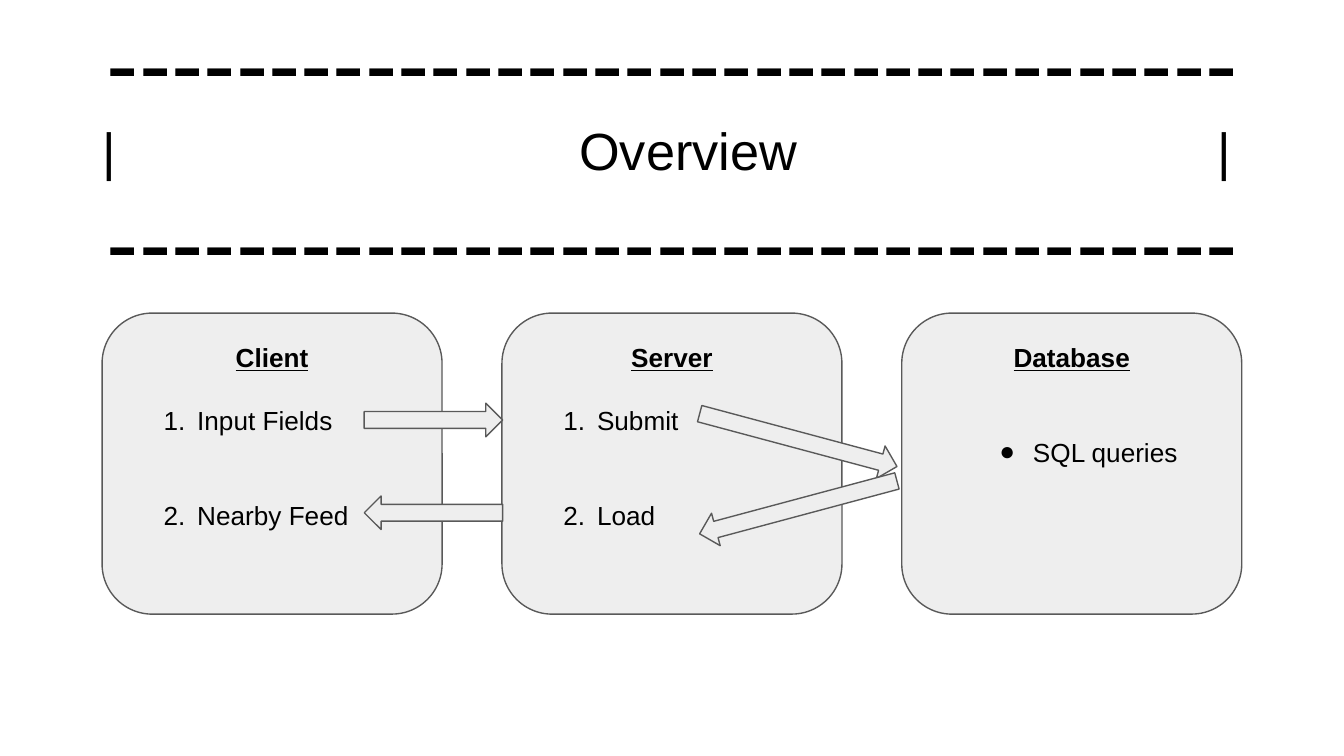
from lxml import etree
from pptx import Presentation
from pptx.dml.color import RGBColor
from pptx.enum import shapes, text
from pptx.oxml.ns import qn
from pptx.util import Inches, Pt

BLACK = RGBColor(0x00, 0x00, 0x00)
PANEL_GRAY = RGBColor(0xEE, 0xEE, 0xEE)
OUTLINE_GRAY = RGBColor(0x59, 0x59, 0x59)
FONT = "Arial"
DASHES = "-" * 35
FIRST_PANEL_LEFT = 0.76
LAST_PANEL_LEFT = 6.71
NUMBER = ("a:buAutoNum", {"type": "arabicPeriod"})
DOT = ("a:buChar", {"char": "●"})

PANELS = [
    ("Client", ["Input Fields", "Nearby Feed"], NUMBER, text.PP_ALIGN.LEFT, [17, 34]),
    ("Server", ["Submit", "Load"], NUMBER, text.PP_ALIGN.LEFT, [17, 34]),
    ("Database", ["SQL queries"], DOT, text.PP_ALIGN.CENTER, [34]),
]
ARROWS = [
    (2.71, 3, 1.03, 0),
    (5.18, 3.15, 1.52, 15),
    (2.71, 3.69, 1.03, 180),
    (5.18, 3.65, 1.52, 165),
]


def prepare_frame(frame):
    frame.auto_size = text.MSO_AUTO_SIZE.NONE
    frame.word_wrap = True
    frame.vertical_anchor = text.MSO_ANCHOR.TOP
    frame.margin_left = frame.margin_right = Inches(0.1)
    frame.margin_top = frame.margin_bottom = Inches(0.1)


def write_paragraph(paragraph, content, size, alignment, space_before=0, heading=False):
    paragraph.text = content
    paragraph.alignment = alignment
    paragraph.space_before = Pt(space_before)
    for run in paragraph.runs:
        run.font.name = FONT
        run.font.size = Pt(size)
        run.font.color.rgb = BLACK
        run.font.bold = heading
        run.font.underline = heading


def add_tab_stops(paragraph, positions):
    tab_list = etree.SubElement(paragraph._p.get_or_add_pPr(), qn("a:tabLst"))
    for position in positions:
        etree.SubElement(tab_list, qn("a:tab"), pos=str(Inches(position)), algn="ctr")


def add_bullet(paragraph, bullet):
    tag, attributes = bullet
    properties = paragraph._p.get_or_add_pPr()
    properties.set("marL", str(Inches(0.5)))
    properties.set("indent", str(Inches(-0.25)))
    etree.SubElement(properties, qn("a:buFont"), typeface=FONT)
    etree.SubElement(properties, qn(tag), attributes)


def add_title(slide):
    title = slide.shapes.title
    title.left, title.top = Inches(0.34), Inches(-0.09)
    title.width, title.height = Inches(9.32), Inches(1.21)
    frame = title.text_frame
    prepare_frame(frame)
    center = text.PP_ALIGN.CENTER
    write_paragraph(frame.paragraphs[0], DASHES, 52, center, 2.7)
    heading = frame.add_paragraph()
    write_paragraph(heading, "\t|\tOverview\t|", 28, text.PP_ALIGN.LEFT)
    add_tab_stops(heading, [0.37, 4.68, 8.67])
    write_paragraph(frame.add_paragraph(), DASHES, 52, center)


def add_gray_shape(slide, kind, left, top, width, height):
    shape = slide.shapes.add_shape(
        kind, Inches(left), Inches(top), Inches(width), Inches(height)
    )
    shape.shadow.inherit = False
    shape.fill.solid()
    shape.fill.fore_color.rgb = PANEL_GRAY
    shape.line.color.rgb = OUTLINE_GRAY
    shape.line.width = Pt(0.75)
    return shape


def add_panel(slide, left, name, items, bullet, alignment, gaps):
    panel = add_gray_shape(
        slide, shapes.MSO_SHAPE.ROUNDED_RECTANGLE, left, 2.33, 2.53, 2.24
    )
    frame = panel.text_frame
    prepare_frame(frame)
    write_paragraph(
        frame.paragraphs[0], name, 14, text.PP_ALIGN.CENTER, heading=True
    )
    for item, gap in zip(items, gaps):
        paragraph = frame.add_paragraph()
        write_paragraph(paragraph, item, 14, alignment, gap)
        add_bullet(paragraph, bullet)


def add_arrow(slide, left, top, width, rotation):
    arrow = add_gray_shape(
        slide, shapes.MSO_SHAPE.RIGHT_ARROW, left, top, width, 0.25
    )
    arrow.rotation = rotation


def main():
    presentation = Presentation()
    presentation.slide_width = Inches(10)
    presentation.slide_height = Inches(10) * 9 // 16
    slide = presentation.slides.add_slide(presentation.slide_layouts[5])
    add_title(slide)
    pitch = (LAST_PANEL_LEFT - FIRST_PANEL_LEFT) / (len(PANELS) - 1)
    for index, panel in enumerate(PANELS):
        add_panel(slide, FIRST_PANEL_LEFT + pitch * index, *panel)
    for arrow in ARROWS:
        add_arrow(slide, *arrow)
    presentation.save("out.pptx")


if __name__ == "__main__":
    main()
